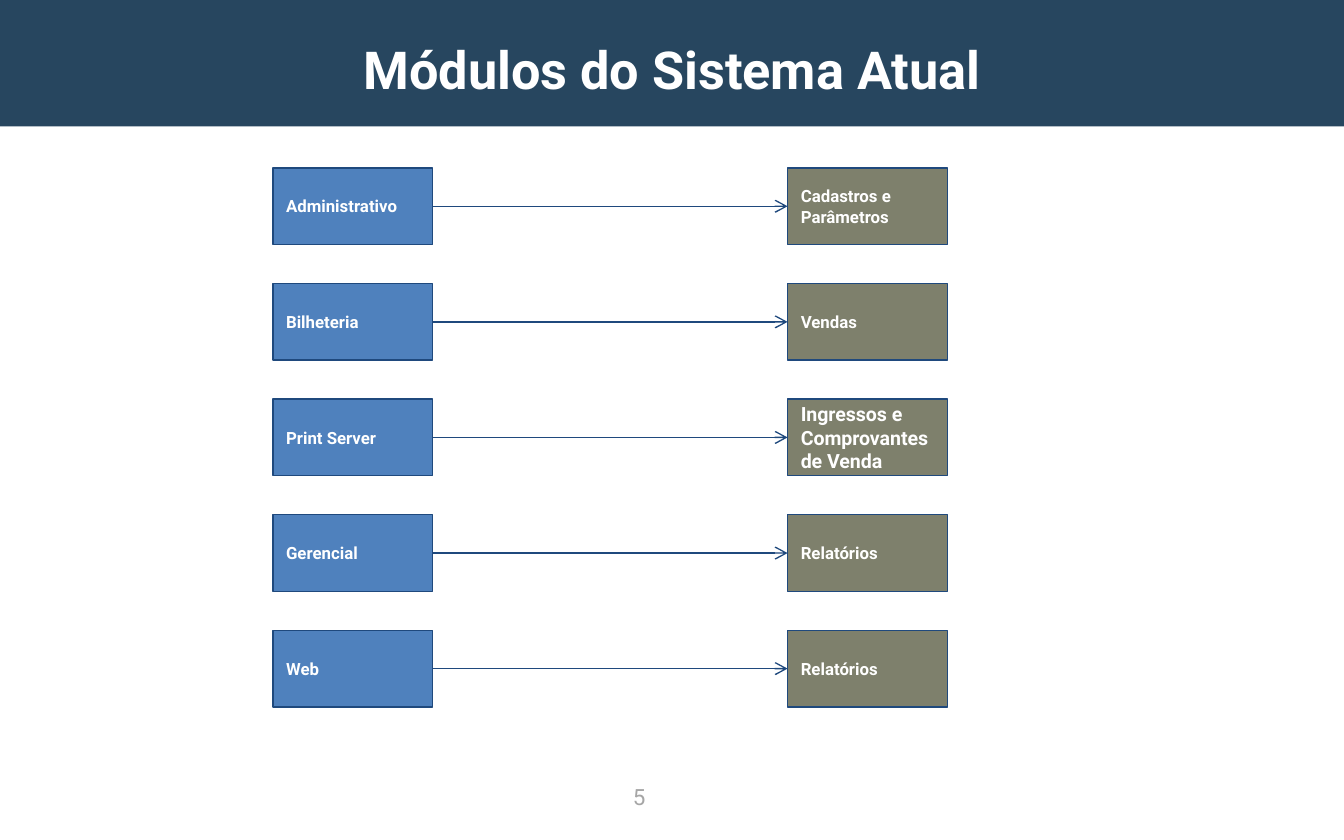
from lxml import etree
from pptx import Presentation
from pptx.dml.color import RGBColor
from pptx.enum.shapes import MSO_CONNECTOR, MSO_SHAPE
from pptx.enum.text import MSO_ANCHOR, PP_ALIGN
from pptx.oxml.ns import qn
from pptx.util import Inches, Pt

RECTANGLE, STRAIGHT = MSO_SHAPE.RECTANGLE, MSO_CONNECTOR.STRAIGHT
TOP, MIDDLE = MSO_ANCHOR.TOP, MSO_ANCHOR.MIDDLE
LEFT, CENTER = PP_ALIGN.LEFT, PP_ALIGN.CENTER

TITLE = "Módulos do Sistema Atual"
PAGE_NUMBER = "5"
# module, what it handles, text size of the latter
MODULES = [
    ("Administrativo", "Cadastros e\nParâmetros", 9),
    ("Bilheteria", "Vendas", 9),
    ("Print Server", "Ingressos e\nComprovantes\nde Venda", 10.5),
    ("Gerencial", "Relatórios", 9),
    ("Web", "Relatórios", 9),
]

NAVY, BLUE, OLIVE, OUTLINE = "27465F", "4F81BD", "7E806C", "1F497D"
WHITE, GRAY = "FFFFFF", "A6A6A6"
FONT = "Roboto"
WIDTH, HEIGHT = 10, 6.25
MODULE_X, FUNCTION_X = 2.03, 5.86
FIRST_ROW, ROW_PITCH = 1.25, 0.86
BOX_W, BOX_H = 1.19, 0.57


def color(hex_code):
    """Turn a hex string into a colour."""
    return RGBColor.from_string(hex_code)


def write(shape, text, size, fill=WHITE, bold=True, align=LEFT, anchor=MIDDLE, wrap=False):
    """Fill a shape with formatted text, one paragraph per line."""
    frame = shape.text_frame
    frame.text = text
    frame.word_wrap = wrap
    frame.vertical_anchor = anchor
    for paragraph in frame.paragraphs:
        paragraph.alignment = align
        font = paragraph.runs[0].font
        font.name, font.size, font.bold = FONT, Pt(size), bold
        font.color.rgb = color(fill)


def add_box(slide, x, y, w, h, fill, outline=None):
    """Add a flat rectangle, with an outline if one is given."""
    box = slide.shapes.add_shape(RECTANGLE, Inches(x), Inches(y), Inches(w), Inches(h))
    box.shadow.inherit = False
    box.fill.solid()
    box.fill.fore_color.rgb = color(fill)
    if outline:
        box.line.color.rgb = color(outline)
        box.line.width = Pt(0.75)
    else:
        box.line.fill.background()
    return box


def add_arrow(slide, source, target):
    """Join the right side of one box to the left side of another."""
    arrow = slide.shapes.add_connector(STRAIGHT, 0, 0, 0, 0)
    arrow.begin_connect(source, 3)
    arrow.end_connect(target, 1)
    arrow.line.color.rgb = color(OUTLINE)
    arrow.line.width = Pt(0.75)
    etree.SubElement(arrow.line._get_or_add_ln(), qn("a:tailEnd"), type="arrow")
    etree.SubElement(arrow._element.spPr, qn("a:effectLst"))


prs = Presentation()
prs.slide_width, prs.slide_height = Inches(WIDTH), Inches(HEIGHT)
slide = prs.slides.add_slide(prs.slide_layouts[5])

band = add_box(slide, 0, 0, WIDTH, 0.94, NAVY)
title = slide.shapes.title
title.left, title.top, title.width, title.height = 0, Inches(0.16), Inches(WIDTH), Inches(0.7)
write(title, TITLE, 28, align=CENTER, wrap=True)
band._element.getparent().insert(2, band._element)

page = slide.shapes.add_textbox(Inches(4.61), Inches(5.78), Inches(0.55), Inches(0.31))
write(page, PAGE_NUMBER, 12, fill=GRAY, bold=False, anchor=TOP, wrap=True)

for row, (module, function, function_size) in enumerate(MODULES):
    y = FIRST_ROW + row * ROW_PITCH
    module_box = add_box(slide, MODULE_X, y, BOX_W, BOX_H, BLUE, OUTLINE)
    write(module_box, module, 9)
    function_box = add_box(slide, FUNCTION_X, y, BOX_W, BOX_H, OLIVE, OUTLINE)
    write(function_box, function, function_size)
    add_arrow(slide, module_box, function_box)

prs.save("out.pptx")
